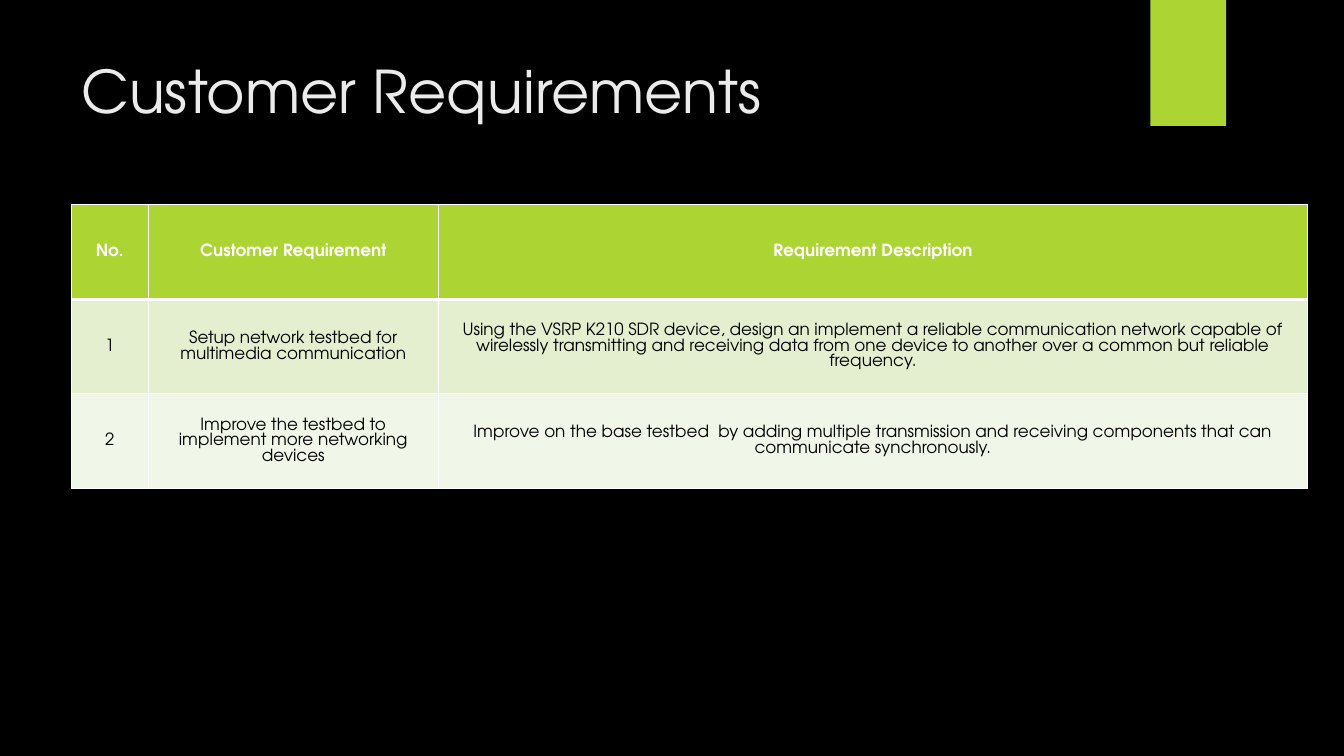
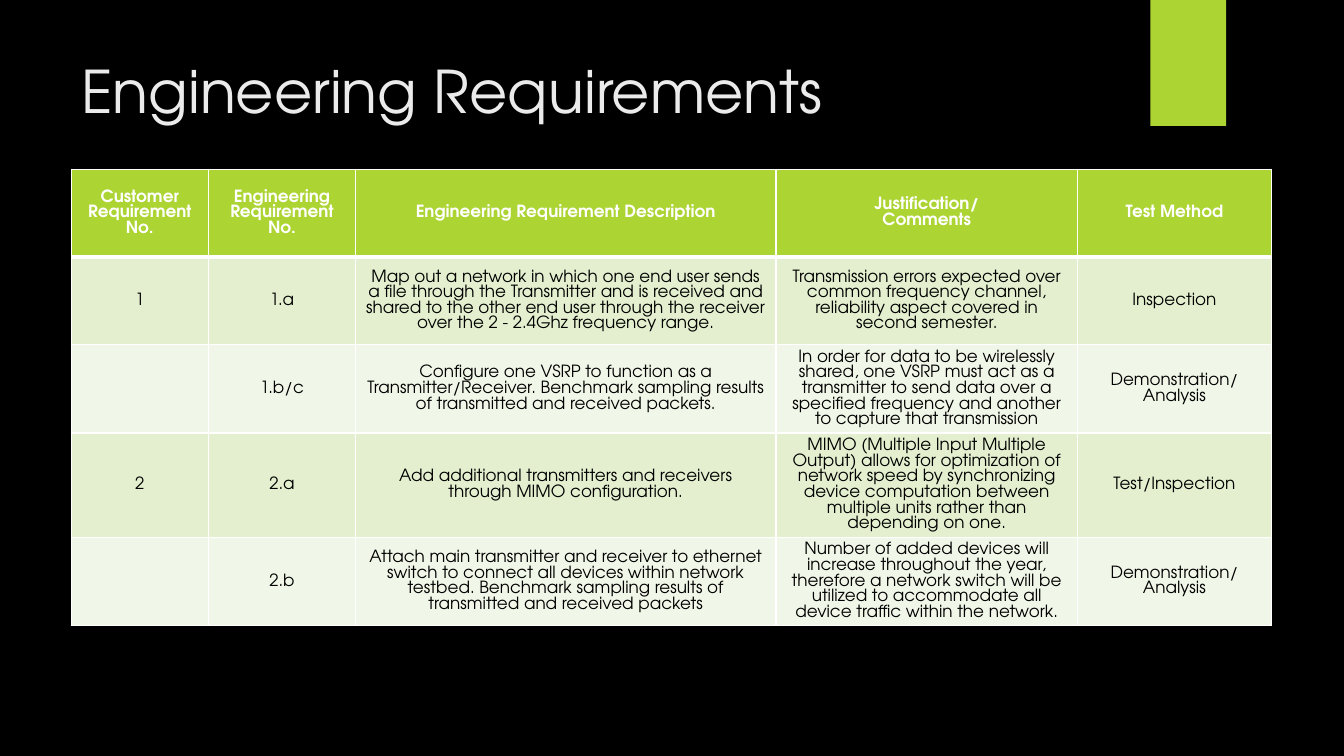
from dataclasses import dataclass
from typing import Any

from lxml import etree
from pptx import Presentation
from pptx import util as u
from pptx.dml.color import RGBColor
from pptx.enum import shapes, text
from pptx.oxml import ns

WIDTH, HEIGHT = 13.33, 7.5
FONT = "TeX Gyre Adventor"
BLACK, WHITE, TITLE_GREY = "000000", "FFFFFF", "EBEBEB"
GREEN, BAND_DARK, BAND_LIGHT = "ACD433", "E3EFCE", "F1F7E8"
LEFT = 5.3
TITLE_ONLY = 5

TITLE_FRAME = {
    "word_wrap": True,
    "auto_size": text.MSO_AUTO_SIZE.NONE,
    "vertical_anchor": text.MSO_ANCHOR.TOP,
}
TITLE_PARAGRAPH = {"alignment": text.PP_ALIGN.LEFT}
TITLE_FONT = {"name": FONT, "size": u.Pt(42), "bold": False}
CELL_PARAGRAPH = {"alignment": text.PP_ALIGN.CENTER}
CELL_FONT = {"name": FONT, "size": u.Pt(12)}


@dataclass(frozen=True)
class Box:
    """Percentages of the slide's width and height."""
    left: float
    top: float
    width: float
    height: float


@dataclass(frozen=True)
class TableSlide:
    title: str
    top: float
    width: float
    column_shares: list[float]
    row_heights: list[float]
    rows: list[list[str]]


TITLE_BOX = Box(LEFT, 6.6, 77.2, 20.4)
TAB_BOX = Box(85.6, 0, 5.63, 16.67)

TABLE_SLIDES = [
    TableSlide(
        "Customer Requirements", 27.1, 92, [6.23, 23.47, 70.3], [12.5] * 3,
        [
            ["No.", "Customer Requirement", "Requirement Description"],
            ["1", "Setup network testbed for multimedia communication",
             "Using the VSRP K210 SDR device, design an implement a reliable "
             "communication network capable of wirelessly transmitting and "
             "receiving data from one device to another over a common but "
             "reliable frequency."],
            ["2", "Improve the testbed to implement more networking devices",
             "Improve on the base testbed  by adding multiple transmission and "
             "receiving components that can communicate synchronously."],
        ],
    ),
    TableSlide(
        "Engineering Requirements", 22.4, 89.3,
        [11.43, 12.27, 35.03, 25.13, 16.14], [11.6, 11.6, 11.6, 13.8, 11.7],
        [
            ["Customer Requirement No.", "Engineering Requirement No.",
             "Engineering Requirement Description",
             "Justification/\nComments", "Test Method"],
            ["1", "1.a",
             "Map out a network in which one end user sends a file through the "
             "Transmitter and is received and shared to the other end user "
             "through the receiver over the 2 - 2.4Ghz frequency range.",
             "Transmission errors expected over common frequency channel, "
             "reliability aspect covered in second semester.",
             "Inspection"],
            ["", "1.b/c",
             "Configure one VSRP to function as a Transmitter/Receiver. "
             "Benchmark sampling results of transmitted and received packets.",
             "In order for data to be wirelessly shared, one VSRP must act as a "
             "transmitter to send data over a specified frequency and another "
             "to capture that transmission",
             "Demonstration/\nAnalysis"],
            ["2", "2.a",
             "Add additional transmitters and receivers through MIMO "
             "configuration.",
             "MIMO (Multiple Input Multiple Output) allows for optimization of "
             "network speed by synchronizing device computation between "
             "multiple units rather than depending on one.",
             "Test/Inspection"],
            ["", "2.b",
             "Attach main transmitter and receiver to ethernet switch to "
             "connect all devices within network testbed. Benchmark sampling "
             "results of transmitted and received packets",
             "Number of added devices will increase throughout the year, "
             "therefore a network switch will be utilized to accommodate all "
             "device traffic within the network.",
             "Demonstration/\nAnalysis"],
        ],
    ),
]


def across(percent: float) -> int:
    return u.Inches(WIDTH * percent / 100)


def down(percent: float) -> int:
    return u.Inches(HEIGHT * percent / 100)


def place(box: Box) -> tuple[int, int, int, int]:
    return across(box.left), down(box.top), across(box.width), down(box.height)


def apply(target: Any, values: dict[str, Any]) -> None:
    for name, value in values.items():
        setattr(target, name, value)


def paint(fill: Any, color: str) -> None:
    fill.solid()
    fill.fore_color.rgb = RGBColor.from_string(color)


def write(frame: Any, content: str, paragraph_values: dict[str, Any],
          font_values: dict[str, Any], color: str) -> None:
    frame.text = content
    for paragraph in frame.paragraphs:
        apply(paragraph, paragraph_values)
        for run in paragraph.runs:
            apply(run.font, font_values)
            paint(run.font.fill, color)


def add_borders(cell: Any, top_points: float, bottom_points: float) -> None:
    properties = cell._tc.get_or_add_tcPr()
    weights = {"lnL": 1, "lnR": 1, "lnT": top_points, "lnB": bottom_points}
    for index, (side, points) in enumerate(weights.items()):
        line = etree.Element(ns.qn(f"a:{side}"), w=str(u.Pt(points)))
        fill = etree.SubElement(line, ns.qn("a:solidFill"))
        etree.SubElement(fill, ns.qn("a:srgbClr"), val=WHITE)
        properties.insert(index, line)


def format_cell(cell: Any, content: str, row: int) -> None:
    header = row == 0
    paint(cell.fill, GREEN if header else BAND_DARK if row % 2 else BAND_LIGHT)
    cell.vertical_anchor = text.MSO_ANCHOR.MIDDLE
    write(cell.text_frame, content, CELL_PARAGRAPH,
          CELL_FONT | {"bold": header}, WHITE if header else BLACK)
    add_borders(cell, 3 if row == 1 else 1, 3 if header else 1)


def add_requirements_table(slide: Any, content: TableSlide) -> None:
    box = Box(LEFT, content.top, content.width, sum(content.row_heights))
    table = slide.shapes.add_table(
        len(content.rows), len(content.column_shares), *place(box)).table
    for column, share in zip(table.columns, content.column_shares):
        column.width = across(content.width * share / 100)
    for row, height in zip(table.rows, content.row_heights):
        row.height = down(height)
    for row_index, row_texts in enumerate(content.rows):
        for column_index, cell_text in enumerate(row_texts):
            format_cell(table.cell(row_index, column_index), cell_text, row_index)


def add_corner_tab(slide: Any) -> None:
    tab = slide.shapes.add_shape(shapes.MSO_SHAPE.RECTANGLE, *place(TAB_BOX))
    tab.shadow.inherit = False
    paint(tab.fill, GREEN)
    tab.line.fill.background()


def add_title(slide: Any, content: str) -> None:
    title = slide.shapes.title
    apply(title, dict(zip(("left", "top", "width", "height"), place(TITLE_BOX))))
    apply(title.text_frame, TITLE_FRAME)
    write(title.text_frame, content, TITLE_PARAGRAPH, TITLE_FONT, TITLE_GREY)


def add_table_slide(presentation: Any, content: TableSlide) -> None:
    slide = presentation.slides.add_slide(presentation.slide_layouts[TITLE_ONLY])
    add_corner_tab(slide)
    add_title(slide, content.title)
    add_requirements_table(slide, content)


def main() -> None:
    presentation = Presentation()
    presentation.slide_width = u.Inches(WIDTH)
    presentation.slide_height = u.Inches(HEIGHT)
    paint(presentation.slide_master.background.fill, BLACK)
    for content in TABLE_SLIDES:
        add_table_slide(presentation, content)
    presentation.save("out.pptx")


if __name__ == "__main__":
    main()
